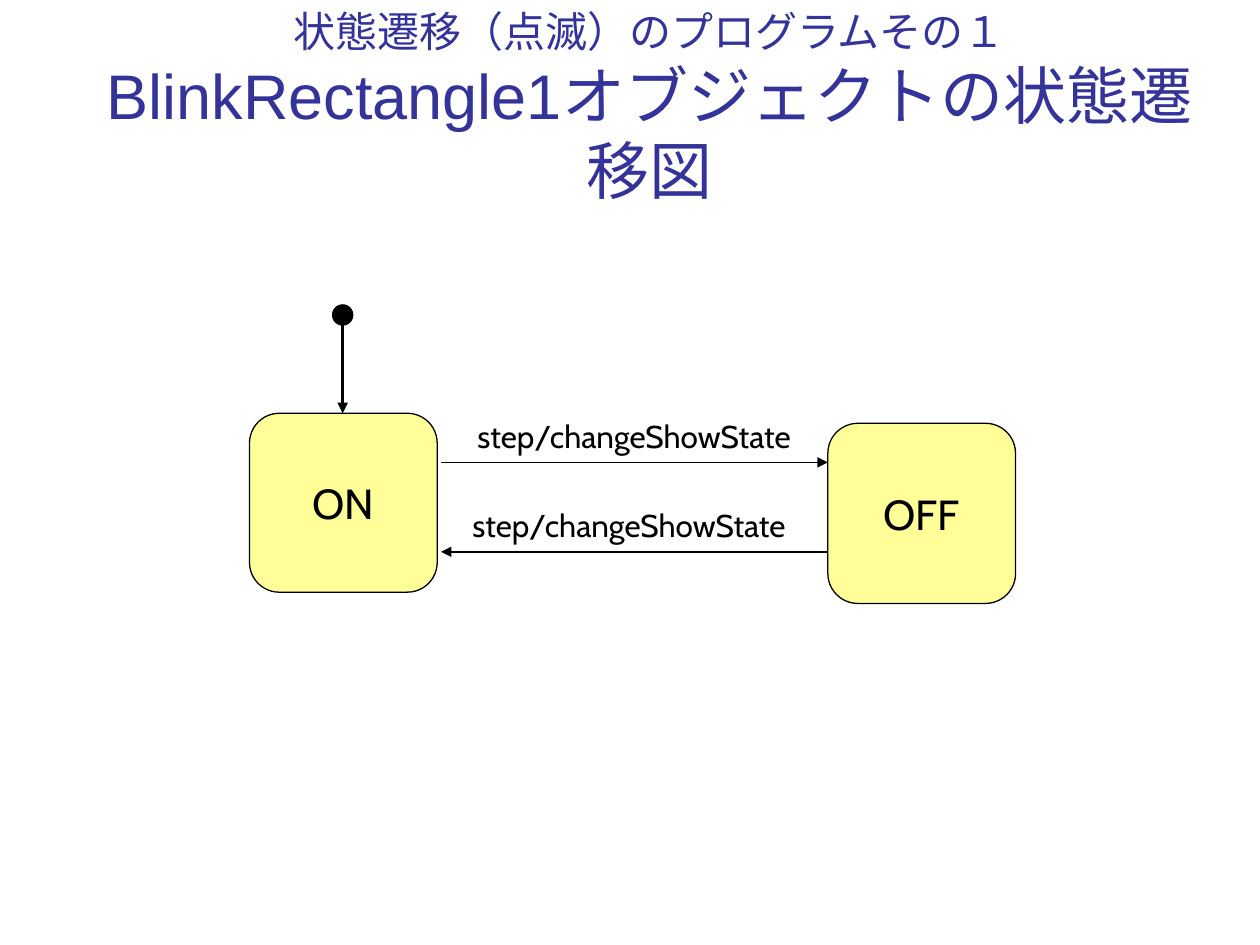
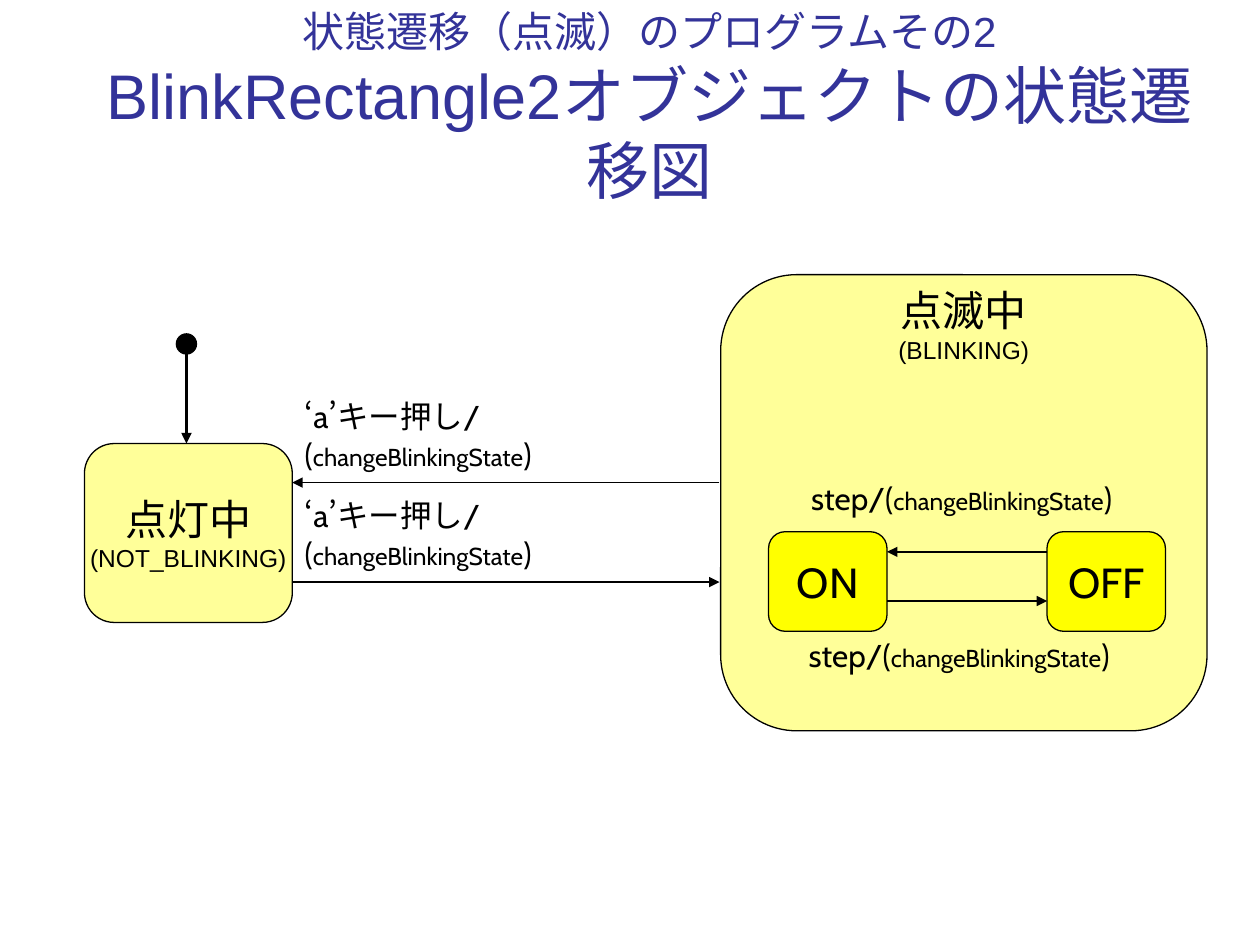
from lxml import etree
from pptx import Presentation
from pptx.dml.color import RGBColor
from pptx.enum.lang import MSO_LANGUAGE_ID
from pptx.enum.shapes import MSO_CONNECTOR, MSO_SHAPE
from pptx.enum.text import MSO_ANCHOR, PP_ALIGN
from pptx.oxml.ns import qn
from pptx.util import Inches, Pt

ROUNDED, OVAL = MSO_SHAPE.ROUNDED_RECTANGLE, MSO_SHAPE.OVAL
STRAIGHT = MSO_CONNECTOR.STRAIGHT
TOP, MIDDLE = MSO_ANCHOR.TOP, MSO_ANCHOR.MIDDLE
LEFT, CENTER = PP_ALIGN.LEFT, PP_ALIGN.CENTER
JAPANESE = MSO_LANGUAGE_ID.JAPANESE

COLORS = {"title": "333399", "ink": "000000", "state": "FFFF99", "inner": "FFFF00"}
THIN, THICK = 0.74, 2
TITLE_BOX = (0.51, 0.22, 9.29, 1.25)
DOT_SIZE = 0.16

STATE_NAME = {"size": Pt(24), "name": "Cabin"}
STATE_CODE = {"size": Pt(14), "name": "Arial"}
EVENT = {"size": Pt(18), "name": "Cabin"}
ACTION = {"size": Pt(14), "name": "Cabin"}
QUOTE = {"size": Pt(18), "name": "Times New Roman"}
CALL = [("changeBlinkingState", ACTION), (")", EVENT)]
STEP_LABEL = [("step/(", EVENT), *CALL]
KEY_LABEL = [("‘", QUOTE), ("a", EVENT), ("’", QUOTE), ("キー押し/(", EVENT), *CALL]


def color(name):
    """Return the palette colour of that name."""
    return RGBColor.from_string(COLORS[name])


def write(shape, paragraphs, align=LEFT, anchor=TOP, wrap=True, ink="ink"):
    """Fill a shape with paragraphs, each a list of (text, font values)."""
    frame = shape.text_frame
    values = {"word_wrap": wrap, "vertical_anchor": anchor, "margin_left": Inches(0.1),
              "margin_right": Inches(0.1), "margin_top": Inches(0.05),
              "margin_bottom": Inches(0.05)}
    for key, value in values.items():
        setattr(frame, key, value)
    for index, spans in enumerate(paragraphs):
        para = frame.add_paragraph() if index else frame.paragraphs[0]
        para.alignment = align
        for text, font in spans:
            if text == "\n":
                para.add_line_break()
                continue
            span = para.add_run()
            span.text = text
            for key, value in {**font, "language_id": JAPANESE}.items():
                setattr(span.font, key, value)
            span.font.color.rgb = color(ink)


def add_text(page, box, paragraphs, **layout):
    """Add a text box at (left, top, width, height)."""
    write(page.shapes.add_textbox(*map(Inches, box)), paragraphs, **layout)


def add_figure(page, kind, box, fill):
    """Add a filled, thinly outlined shape and return it."""
    shape = page.shapes.add_shape(kind, *map(Inches, box))
    shape.shadow.inherit = False
    shape.fill.solid()
    shape.fill.fore_color.rgb = color(fill)
    shape.line.color.rgb = color("ink")
    shape.line.width = Pt(THIN)
    return shape


def add_state(page, box, paragraphs, fill="state"):
    """Add a rounded state box with centred text."""
    shape = add_figure(page, ROUNDED, box, fill)
    write(shape, paragraphs, align=CENTER, anchor=MIDDLE, wrap=False)


def add_arrow(page, start, end, width=THIN):
    """Draw a straight arrow between two points."""
    arrow = page.shapes.add_connector(STRAIGHT, *map(Inches, (*start, *end)))
    arrow.line.color.rgb = color("ink")
    arrow.line.width = Pt(width)
    outline = arrow.line._get_or_add_ln()
    etree.SubElement(outline, qn("a:tailEnd"), type="triangle")
    etree.SubElement(outline.getparent(), qn("a:effectLst"))


def add_initial(page, center, top, target):
    """Draw the start dot and its arrow down to the first state."""
    dot = (center - DOT_SIZE / 2, top, DOT_SIZE, DOT_SIZE)
    add_figure(page, OVAL, dot, "ink")
    add_arrow(page, (center, top + DOT_SIZE), (center, target), THICK)


def add_title(page, topic, heading):
    """Write the small topic line over the large heading."""
    spans = [(topic, {"size": Pt(24), "name": "Arial"}), ("\n", {}),
             (heading, {"size": Pt(36), "name": "Arial"})]
    add_text(page, TITLE_BOX, [spans], align=CENTER, anchor=MIDDLE, ink="title")


def add_blinking(page, box):
    """Draw the composite blinking state with its ON and OFF states."""
    left, top, width, height = box
    add_figure(page, ROUNDED, box, "state")
    add_text(page, (left, top + 0.03, width, 0.8),
             [[("点滅中", STATE_NAME)], [("(BLINKING)", STATE_CODE)]], align=CENTER)
    on_left, off_left, inner_top, inner_width = left + 0.38, left + 2.59, top + 2.04, 0.94
    for name, state_left in (("ON", on_left), ("OFF", off_left)):
        add_state(page, (state_left, inner_top, inner_width, 0.79),
                  [[(name, STATE_NAME)]], "inner")
    on_right = on_left + inner_width
    back, forth = inner_top + 0.16, inner_top + 0.55
    add_arrow(page, (off_left, back), (on_right, back))
    add_arrow(page, (on_right, forth), (off_left, forth))
    for label_left, label_top in ((0.62, 1.57), (0.6, 2.82)):
        add_text(page, (left + label_left, top + label_top, 2.83, 0.4), [STEP_LABEL])


def add_key_press(page, start, end):
    """Draw a key-press arrow with its two-line label resting above it."""
    add_arrow(page, start, end)
    left, level = min(start[0], end[0]), start[1]
    add_text(page, (left, level - 0.73, 2.8, 0.74), [KEY_LABEL])


def build_simple(page):
    """Build the two-state diagram."""
    add_title(page, "状態遷移（点滅）のプログラムその１", "BlinkRectangle1オブジェクトの状態遷移図")
    add_state(page, (1.98, 3.28, 1.49, 1.42), [[("ON", STATE_NAME)]])
    add_state(page, (6.57, 3.36, 1.49, 1.43), [[("OFF", STATE_NAME)]])
    add_arrow(page, (3.5, 3.67), (6.57, 3.67))
    add_arrow(page, (6.57, 4.38), (3.5, 4.38))
    for left, top in ((3.69, 3.26), (3.65, 3.97)):
        add_text(page, (left, top, 2.9, 0.4), [[("step/changeShowState", EVENT)]])
    add_initial(page, 2.72, 2.42, 3.28)


def build_nested(page):
    """Build the diagram with a composite state."""
    add_title(page, "状態遷移（点滅）のプログラムその2", "BlinkRectangle2オブジェクトの状態遷移図")
    add_state(page, (0.67, 3.52, 1.65, 1.42),
              [[("点灯中", STATE_NAME)], [("(NOT_BLINKING)", STATE_CODE)]])
    add_blinking(page, (5.72, 2.18, 3.86, 3.62))
    add_key_press(page, (5.71, 3.83), (2.32, 3.83))
    add_key_press(page, (2.32, 4.62), (5.71, 4.62))
    add_initial(page, 1.48, 2.65, 3.52)


deck = Presentation()
deck.slide_width, deck.slide_height = Inches(10), Inches(7.5)
for build in (build_simple, build_nested):
    build(deck.slides.add_slide(deck.slide_layouts[6]))
deck.save("out.pptx")
